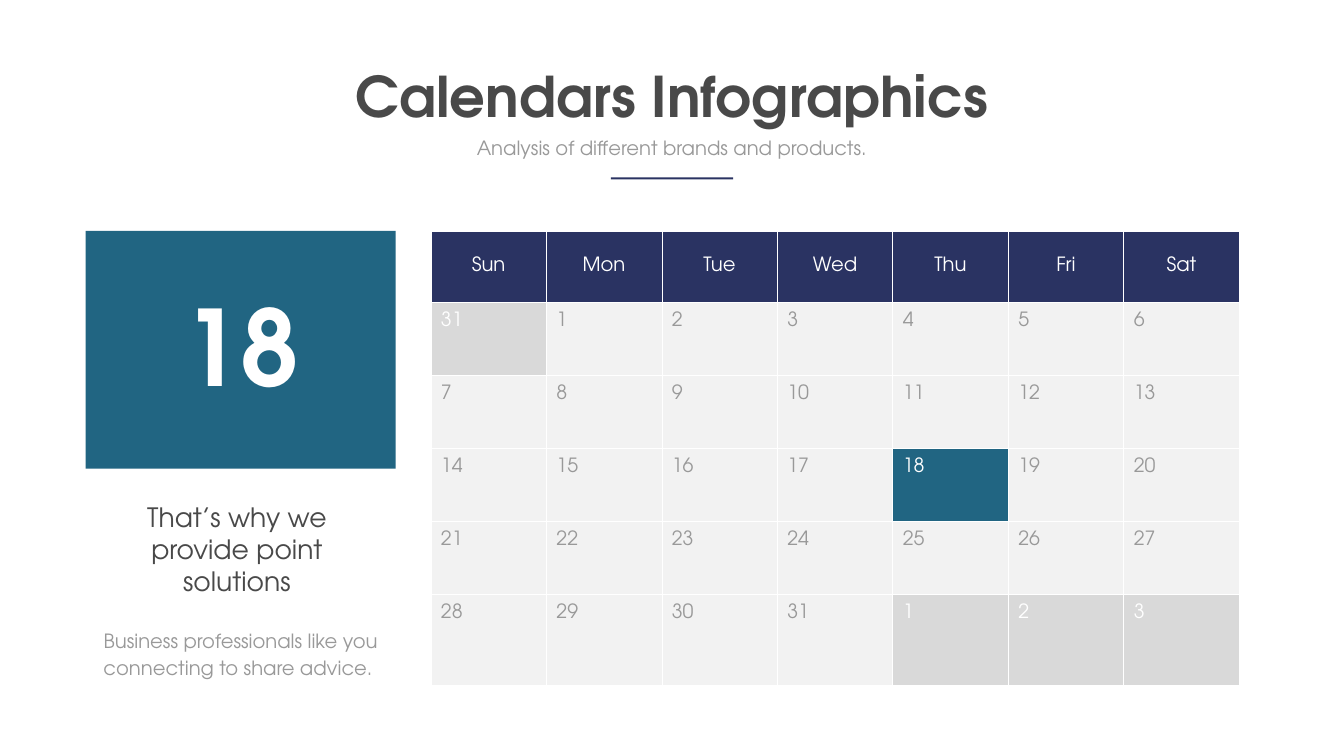
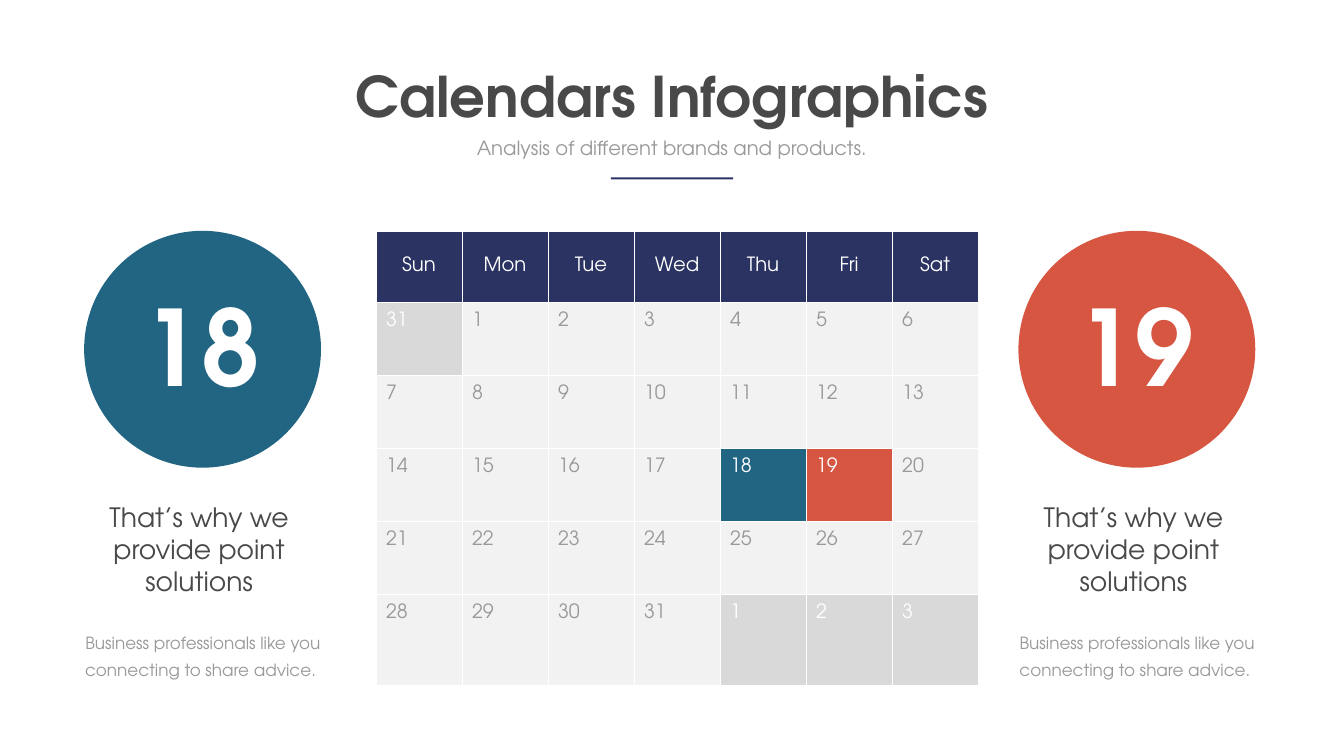
from dataclasses import dataclass

from lxml.etree import SubElement
from pptx import Presentation
from pptx.dml.color import RGBColor
from pptx.enum.shapes import MSO_SHAPE
from pptx.enum.text import MSO_ANCHOR, MSO_AUTO_SIZE, PP_ALIGN
from pptx.oxml.ns import qn
from pptx.util import Inches, Pt

FONT = "TeX Gyre Adventor"
COLORS = {
    "navy": "2A3362", "teal": "216582", "red": "D65642", "dark": "494949",
    "gray": "999999", "mute": "D9D9D9", "pale": "F2F2F2", "white": "FFFFFF",
}
WEEK = ["Sun", "Mon", "Tue", "Wed", "Thu", "Fri", "Sat"]
DAYS = [31, *range(1, 32), 1, 2, 3]
ROWS = [1.41, 1.45, 1.45, 1.45, 1.45, 1.8]
TOP = 4.58
CLAIM = ["That’s why we ", "provide point ", "solutions "]
NOTE = ["Business professionals like you connecting to share advice. "]


@dataclass
class Style:
    """Look of a block of text."""
    size: float
    color: str
    bold: bool = False
    lead: float | None = None
    align: PP_ALIGN = PP_ALIGN.CENTER


@dataclass
class Card:
    """A marked day with its claim and note."""
    day: int
    color: str
    kind: MSO_SHAPE
    left: float
    width: float
    height: float
    num_left: float
    text_left: float
    text_width: float
    note_size: float


@dataclass
class Page:
    """One slide: the place of its table and its cards."""
    left: float
    width: float
    cards: list[Card]


def make_disc(day: int, color: str, left: float) -> Card:
    """Return a round card whose parts hang on its left edge."""
    return Card(day, color, MSO_SHAPE.OVAL, left, 4.7, 4.7,
                left + 1.04, left - 0.24, 5.19, 24)


PAGES = [
    Page(8.55, 16.04, [Card(18, "teal", MSO_SHAPE.RECTANGLE, 1.7, 6.15, 4.72,
                            3.5, 1.7, 6.15, 28)]),
    Page(7.46, 11.95, [make_disc(18, "teal", 1.67), make_disc(19, "red", 20.21)]),
]


def paint(fill, color: str) -> None:
    """Make a fill solid in a named color."""
    fill.solid()
    fill.fore_color.rgb = RGBColor.from_string(COLORS[color])


def write(frame, lines: list[str], style: Style) -> None:
    """Fill a text frame with lines of one style."""
    for i, line in enumerate(lines):
        para = frame.paragraphs[0] if i == 0 else frame.add_paragraph()
        para.text = line
        para.alignment = style.align
        para.space_before = Pt(0)
        if style.lead:
            para.line_spacing = Pt(style.lead)
        font = para.font
        font.name, font.size, font.bold = FONT, Pt(style.size), style.bold
        font.color.rgb = RGBColor.from_string(COLORS[style.color])


def set_box(shape, box: tuple, lines: list[str], style: Style, wrap: bool = True) -> None:
    """Place a text shape and write in it from the top."""
    shape.left, shape.top, shape.width, shape.height = map(Inches, box)
    frame = shape.text_frame
    frame.word_wrap = wrap
    frame.auto_size = MSO_AUTO_SIZE.NONE
    frame.vertical_anchor = MSO_ANCHOR.TOP
    write(frame, lines, style)


def add_text(slide, box: tuple, lines: list[str], style: Style, wrap: bool = True) -> None:
    """Add a text box."""
    set_box(slide.shapes.add_textbox(*map(Inches, box)), box, lines, style, wrap)


def add_block(slide, kind: MSO_SHAPE, box: tuple, color: str) -> None:
    """Add a flat shape with no outline."""
    shape = slide.shapes.add_shape(kind, *map(Inches, box))
    shape.shadow.inherit = False
    paint(shape.fill, color)
    shape.line.fill.background()


def add_head(slide) -> None:
    """Set the title, the line below it and the rule."""
    set_box(slide.shapes.title, (6.89, 1.17, 12.89, 1.45),
            ["Calendars Infographics"], Style(80, "dark", True), False)
    set_box(slide.placeholders[1], (8.55, 2.65, 9.56, 0.57),
            ["Analysis of different brands and products."], Style(28, "gray"))
    add_block(slide, MSO_SHAPE.RECTANGLE, (12.12, 3.52, 2.43, 0.04), "navy")


def set_cell(cell, text: str, fill: str, style: Style, pads: tuple) -> None:
    """Write one cell, with its fill, margins and white edges."""
    (cell.margin_left, cell.margin_top,
     cell.margin_right, cell.margin_bottom) = map(Inches, pads)
    write(cell.text_frame, [text], style)
    props = cell._tc.get_or_add_tcPr()
    for side in ("lnL", "lnR", "lnT", "lnB"):
        edge = SubElement(props, qn(f"a:{side}"), w=str(Pt(1)))
        solid = SubElement(edge, qn("a:solidFill"))
        SubElement(solid, qn("a:srgbClr"), val=COLORS["white"])
    paint(cell.fill, fill)


def add_month(slide, page: Page) -> None:
    """Add the month table and mark the days of the cards."""
    table = slide.shapes.add_table(
        len(ROWS), len(WEEK), Inches(page.left), Inches(TOP),
        Inches(page.width), Inches(sum(ROWS))).table
    table.first_row = table.horz_banding = False
    for col in table.columns:
        col.width = Inches(page.width / len(WEEK))
    for row, height in zip(table.rows, ROWS):
        row.height = Inches(height)
    for i, name in enumerate(WEEK):
        cell = table.cell(0, i)
        set_cell(cell, name, "navy", Style(28, "white"), (0.14, 0.07, 0.14, 0.07))
        cell.vertical_anchor = MSO_ANCHOR.MIDDLE
    marks = {card.day: card.color for card in page.cards}
    for i, day in enumerate(DAYS):
        row, col = divmod(i, len(WEEK))
        fill = marks.get(day, "pale") if 1 <= i <= 31 else "mute"
        ink = "gray" if fill == "pale" else "white"
        set_cell(table.cell(row + 1, col), str(day), fill,
                 Style(28, ink, align=PP_ALIGN.LEFT), (0.2, 0.2, 0.1, 0.05))


def add_card(slide, card: Card) -> None:
    """Add the big day with its claim and note."""
    add_block(slide, card.kind, (card.left, TOP, card.width, card.height), card.color)
    add_text(slide, (card.num_left, 5.54, 2.56, 2.63), [str(card.day)],
             Style(150, "white", True), False)
    add_text(slide, (card.text_left, 9.89, card.text_width, 2.02), CLAIM,
             Style(38, "dark"))
    add_text(slide, (card.text_left, 12.36, card.text_width, 1.15), NOTE,
             Style(card.note_size, "gray", lead=38.6))


def main() -> None:
    """Build and save the deck."""
    deck = Presentation()
    deck.slide_width, deck.slide_height = Inches(26.67), Inches(15)
    for page in PAGES:
        slide = deck.slides.add_slide(deck.slide_layouts[0])
        add_head(slide)
        add_month(slide, page)
        for card in page.cards:
            add_card(slide, card)
    deck.save("out.pptx")


if __name__ == "__main__":
    main()
